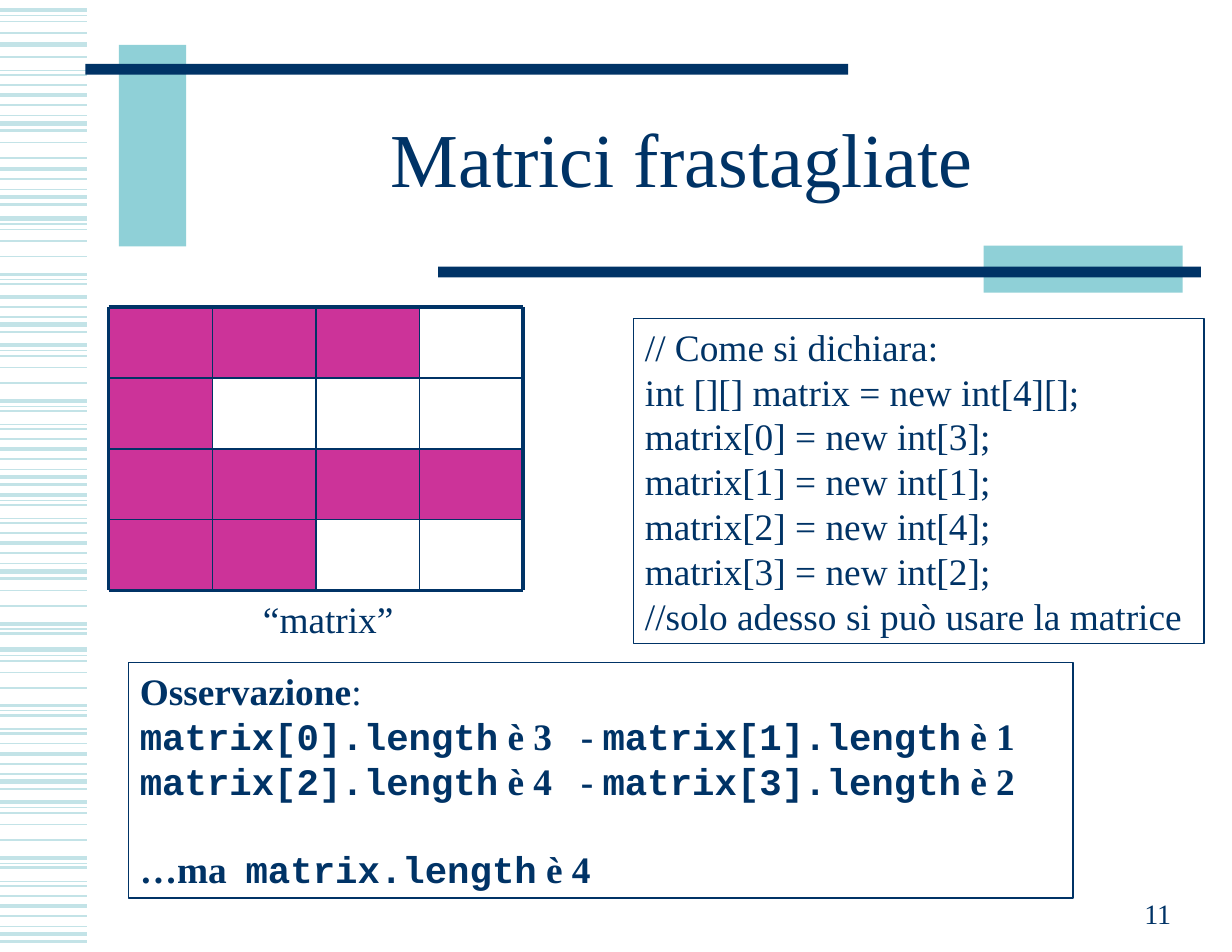
from pptx import Presentation
from pptx.dml.color import RGBColor
from pptx.enum.shapes import MSO_CONNECTOR, MSO_SHAPE
from pptx.enum.text import MSO_ANCHOR, MSO_AUTO_SIZE, PP_ALIGN
from pptx.oxml.ns import qn
from pptx.util import Pt
from lxml.etree import SubElement

NAVY = RGBColor(0x00, 0x33, 0x66)
TEAL = RGBColor(0x8F, 0xD0, 0xD7)
PALE = RGBColor(0xC3, 0xE3, 0xE7)
PINK = RGBColor(0xCC, 0x33, 0x99)
SERIF = "Times New Roman"
MONO = "Courier New"

HEAD = [(0, 3), (3.6, 0.75), (7.2, 1), (14.6, 1), (24.6, 1), (36, 2.25),
        (39.4, 0.75), (42.3, 1.5), (51.1, 0.75), (54, 1.5)]
TAIL = [(-24.5, 1), (-18, 2.25), (-11.5, 1.5), (-5, 0.75), (0, 3), (4.7, 1.5)]
BANDS = [
    (6.5, HEAD[:4]), (28.8, TAIL[4:5]), (-5.8, HEAD[7:]), (79.2, TAIL),
    (77, HEAD[3:5]), (126.7, TAIL[1:]), (140.4, HEAD[:8]), (208.8, TAIL[1:]),
    (221.8, HEAD), (306.7, TAIL), (282.2, HEAD[5:]), (367.2, TAIL),
    (365, HEAD[3:8]), (417.6, HEAD), (502.6, TAIL), (515.5, HEAD), (600.5, TAIL),
]
BARS = [
    (76.5, 28.8, 43.2, 129.6, TEAL), (54.9, 41, 490.3, 7, NAVY),
    (632.4, 157.9, 127.8, 30.2, TEAL), (281.7, 171.4, 490.3, 7, NAVY),
]
SIZES = [3, 1, 4, 2]
CODE = [
    "// Come si dichiara:",
    f"int [][] matrix = new int[{len(SIZES)}][];",
    *[f"matrix[{row}] = new int[{size}];" for row, size in enumerate(SIZES)],
    "//solo adesso si può usare la matrice",
]


class Slide:
    def __init__(self, deck):
        self.page = deck.slides.add_slide(deck.slide_layouts[6])
        self.font = SERIF
        self.ink = NAVY

    def line(self, x1, y1, x2, y2, color, width):
        line = self.page.shapes.add_connector(
            MSO_CONNECTOR.STRAIGHT, Pt(x1), Pt(y1), Pt(x2), Pt(y2))
        line.line.color.rgb = color
        line.line.width = Pt(width)
        SubElement(line._element.spPr, qn("a:effectLst"))

    def rect(self, x, y, w, h, fill):
        rect = self.page.shapes.add_shape(
            MSO_SHAPE.RECTANGLE, Pt(x), Pt(y), Pt(w), Pt(h))
        rect.shadow.inherit = False
        rect.line.fill.background()
        if fill is None:
            rect.fill.background()
        else:
            rect.fill.solid()
            rect.fill.fore_color.rgb = fill
        return rect

    def text(self, x, y, w, h, size=24, anchor=MSO_ANCHOR.TOP):
        box = self.page.shapes.add_textbox(Pt(x), Pt(y), Pt(w), Pt(h))
        return self.setup(box, size, anchor)

    def panel(self, x, y, w, h, size=24):
        box = self.rect(x, y, w, h, None)
        box.line.color.rgb = self.ink
        box.line.width = Pt(0.75)
        frame = self.setup(box, size, MSO_ANCHOR.TOP)
        frame.auto_size = MSO_AUTO_SIZE.SHAPE_TO_FIT_TEXT
        return frame

    def setup(self, box, size, anchor):
        self.size = size
        frame = box.text_frame
        frame.word_wrap = True
        frame.vertical_anchor = anchor
        return frame

    def para(self, frame, runs, align=PP_ALIGN.LEFT, tab=None):
        para = frame.paragraphs[0]
        if para.runs:
            para = frame.add_paragraph()
        para.alignment = align
        if tab:
            tabs = SubElement(para._p.get_or_add_pPr(), qn("a:tabLst"))
            SubElement(tabs, qn("a:tab"), pos=str(Pt(tab)), algn="l")
        for words, font, bold in runs:
            run = para.add_run()
            run.text = words
            run.font.name = font or self.font
            run.font.size = Pt(self.size)
            run.font.bold = bold
            run.font.color.rgb = self.ink
        return para


def frieze(slide):
    for base, band in BANDS:
        for step, width in band:
            y = base + step
            slide.line(0, y, 56.2, y, PALE, width)
    for bar in BARS:
        slide.rect(*bar)


def matrix(slide, x, y, w, h):
    count = len(SIZES)
    for row, size in enumerate(SIZES):
        for col in range(size):
            slide.rect(x + col * w, y + row * h, w, h, PINK)
    right, base = x + count * w, y + count * h
    for i in range(count + 1):
        width = 2.25 if i in (0, count) else 1
        slide.line(x, y + i * h, right, y + i * h, NAVY, width)
        slide.line(x + i * w, y, x + i * w, base, NAVY, width)


def remark(slide):
    frame = slide.panel(82.8, 426.2, 607, 151.2)
    slide.para(frame, [("Osservazione", SERIF, True), (":", SERIF, False)])
    for row in range(0, len(SIZES), 2):
        slide.para(frame, [
            (f"matrix[{row}].length", MONO, True),
            (f" è {SIZES[row]}\t- ", SERIF, True),
            (f"matrix[{row + 1}].length", MONO, True),
            (f" è {SIZES[row + 1]}", SERIF, True),
        ], tab=283.5)
    last = slide.para(frame, [
        ("…ma\t", SERIF, True),
        ("matrix.length", MONO, True),
        (f" è {len(SIZES)}", SERIF, True),
    ], tab=68)
    last.space_before = Pt(27.6)


def main():
    deck = Presentation()
    deck.slide_width, deck.slide_height = Pt(792), Pt(612)
    slide = Slide(deck)
    frieze(slide)
    number = slide.text(570, 560.5, 190, 41, 18, MSO_ANCHOR.BOTTOM)
    slide.para(number, [("11", SERIF, False)], PP_ALIGN.RIGHT)
    title = slide.text(118.5, 54.5, 639.4, 102.2, 49, MSO_ANCHOR.MIDDLE)
    head = slide.para(title, [("Matrici frastagliate", SERIF, False)], PP_ALIGN.CENTER)
    head.line_spacing = 0.85
    matrix(slide, 69.9, 197.5, 66.6, 45.5)
    code = slide.panel(407.5, 204.8, 366.5, 208.8)
    for words in CODE:
        slide.para(code, [(words, SERIF, False)])
    label = slide.text(162, 379.5, 108, 36)
    slide.para(label, [("“matrix”", SERIF, False)])
    remark(slide)
    deck.save("out.pptx")


if __name__ == "__main__":
    main()
